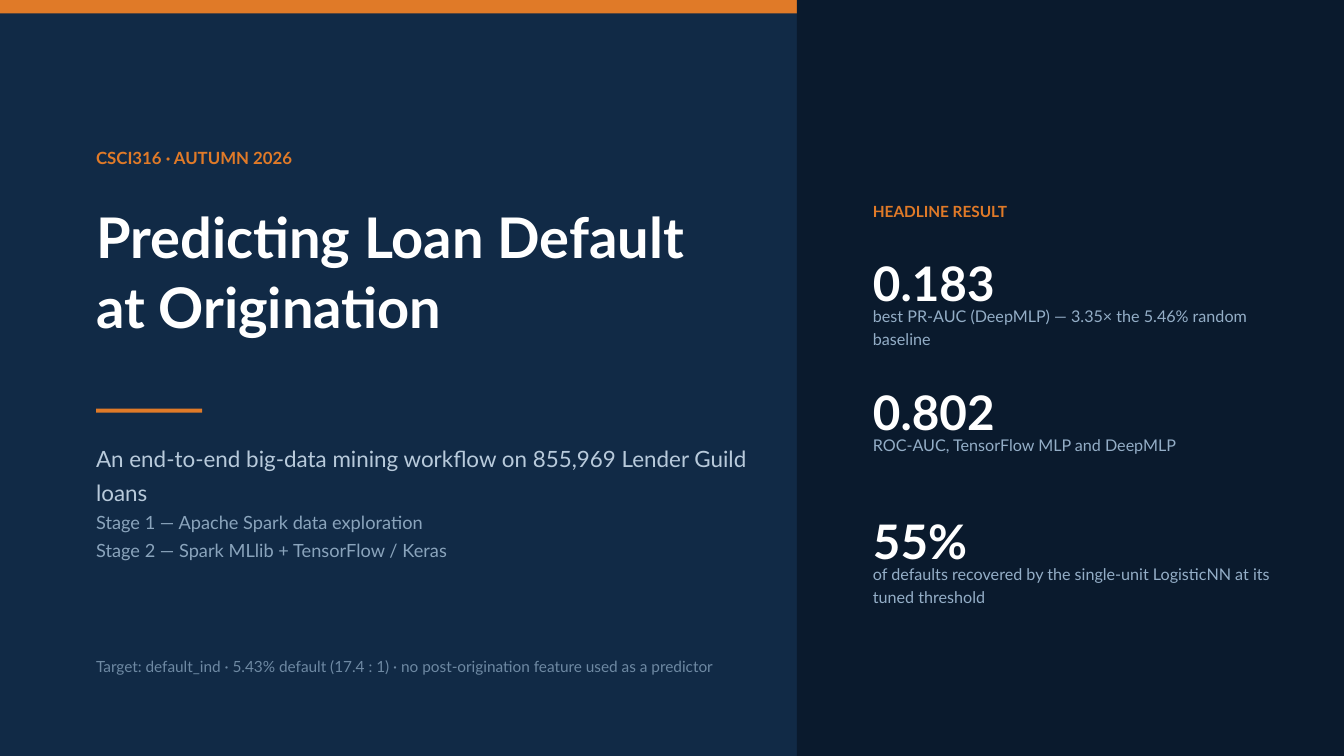
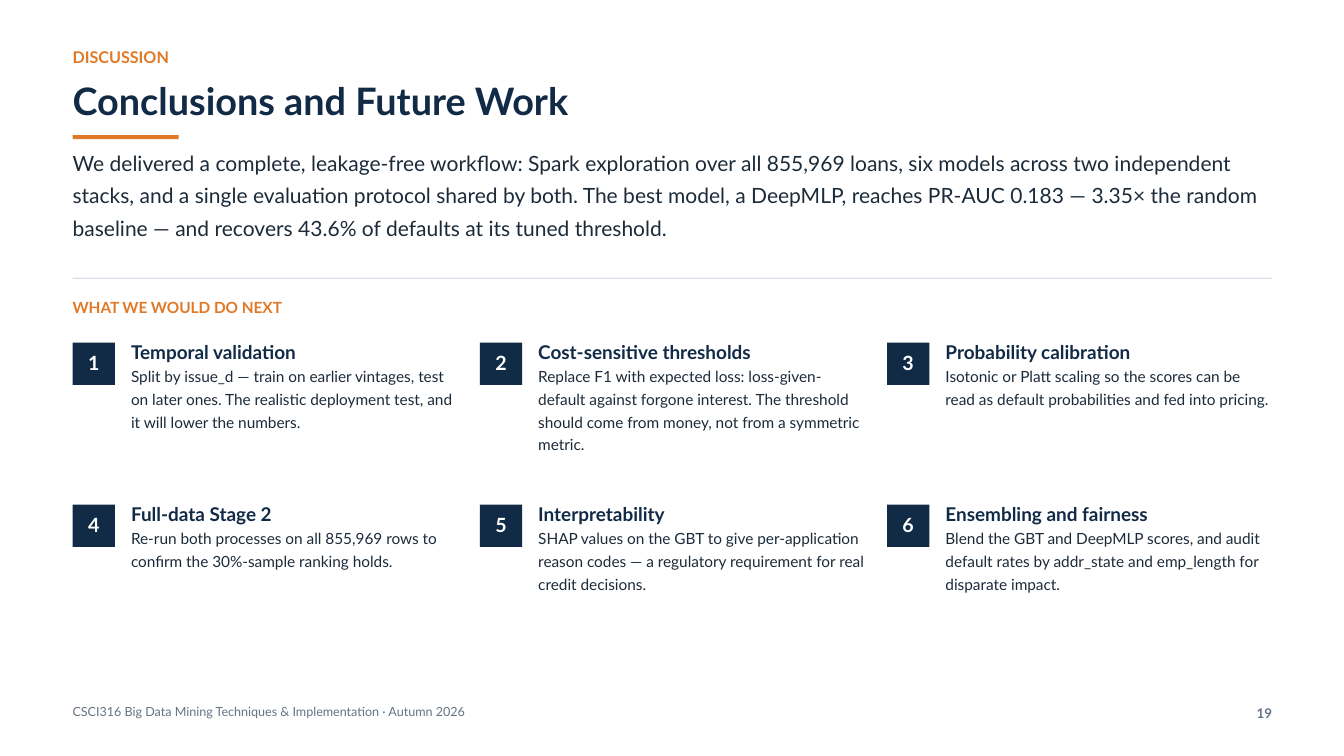
from pptx import Presentation
from pptx import util as u
from pptx.dml.color import RGBColor
from pptx.enum import shapes, text

FONT = "Lato"
COLORS = {
    "navy": "112A46", "panel": "0A1A2D", "orange": "E07A28", "white": "FFFFFF",
    "ink": "1C2B3A", "rule": "D8DFE6", "footer": "647484", "lead": "B8CADB",
    "stage": "8AA4BC", "caption": "94AEC7", "target": "6E89A3",
}
ALIGN = text.PP_ALIGN


def add_block(slide, at, color):
    """Add a plain filled rectangle; at is left, top, width, height in inches."""
    block = slide.shapes.add_shape(shapes.MSO_SHAPE.RECTANGLE, *map(u.Inches, at))
    block.fill.solid()
    block.fill.fore_color.rgb = RGBColor.from_string(COLORS[color])
    block.line.fill.background()
    block.shadow.inherit = False
    return block


def write(slide, words, at=None, box=None, size=16.5, color="ink", bold=False,
          align=ALIGN.LEFT, leading=24.2, anchor=text.MSO_ANCHOR.TOP, bottom=0):
    """Write one paragraph in a new box, or add it to the given box."""
    if box is None:
        box = slide.shapes.add_textbox(0, 0, 0, 0)
    if at:
        box.left, box.top, box.width, box.height = map(u.Inches, at)
    frame = box.text_frame
    frame.word_wrap = True
    frame.auto_size = text.MSO_AUTO_SIZE.NONE
    frame.vertical_anchor = anchor
    frame.margin_left = frame.margin_right = frame.margin_top = 0
    frame.margin_bottom = u.Inches(bottom)
    para = frame.add_paragraph() if frame.text else frame.paragraphs[0]
    para.alignment = align
    para.line_spacing = u.Pt(leading)
    para.space_before = para.space_after = u.Pt(0)
    span = para.add_run()
    span.text = words
    span.font.name = FONT
    span.font.size = u.Pt(size)
    span.font.bold = bold
    span.font.color.rgb = RGBColor.from_string(COLORS[color])
    return box


deck = Presentation()
deck.slide_width, deck.slide_height = u.Inches(20), u.Inches(11.25)
title_only = deck.slide_layouts[5]

# Cover: navy ground, top band and dark panel
cover = deck.slides.add_slide(title_only)
cover.background.fill.solid()
cover.background.fill.fore_color.rgb = RGBColor.from_string(COLORS["navy"])
add_block(cover, (0, 0, 20, 0.2), "orange")
add_block(cover, (11.86, 0, 8.14, 11.25), "panel")

# Cover: course, title and workflow
left = 1.43
write(cover, "CSCI316 · AUTUMN 2026", at=(left, 2.16, 9.91, 0.32),
      size=18, color="orange", bold=True)
cover_title = cover.shapes.title
cover_title.left, cover_title.top = u.Inches(left), u.Inches(2.98)
cover_title.width, cover_title.height = u.Inches(10.06), u.Inches(2.04)
for line in ("Predicting Loan Default", "at Origination"):
    write(cover, line, box=cover_title, size=60, color="white", bold=True, leading=74.9)
add_block(cover, (left, 6.08, 1.58, 0.06), "orange")
workflow = write(cover, "An end-to-end big-data mining workflow on 855,969 Lender Guild loans",
                 at=(left, 6.53, 9.76, 1.79), size=24, color="lead", leading=36)
for stage in ("Stage 1 — Apache Spark data exploration",
              "Stage 2 — Spark MLlib + TensorFlow / Keras"):
    write(cover, stage, box=workflow, size=19.5, color="stage", leading=29.3)
write(cover, "Target: default_ind · 5.43% default (17.4 : 1) · "
             "no post-origination feature used as a predictor",
      at=(left, 9.71, 9.91, 0.67), color="target", leading=24.8)

# Cover: headline results
panel_left = 12.99
write(cover, "HEADLINE RESULT", at=(panel_left, 2.97, 6.3, 0.3),
      color="orange", bold=True, leading=22.2)
results = [
    ("0.183", "best PR-AUC (DeepMLP) — 3.35× the 5.46% random baseline"),
    ("0.802", "ROC-AUC, TensorFlow MLP and DeepMLP"),
    ("55%", "of defaults recovered by the single-unit LogisticNN at its tuned threshold"),
]
for index, (figure, caption) in enumerate(results):
    top = 3.67 + 1.92 * index
    write(cover, figure, at=(panel_left, top, 2.1, 0.93),
          size=51, color="white", bold=True, leading=68.6)
    write(cover, caption, at=(panel_left, top + 0.83, 6.15, 0.66),
          size=17.3, color="caption", leading=24.9)

# Conclusions: section label, title and summary
closing = deck.slides.add_slide(title_only)
left, width = 1.08, 17.85
write(closing, "DISCUSSION", at=(left, 0.67, width, 0.3),
      size=17.3, color="orange", bold=True, leading=23.2)
write(closing, "Conclusions and Future Work", at=(left, 1.08, width, 0.73),
      box=closing.shapes.title, size=40.5, color="navy", bold=True, leading=54.5)
add_block(closing, (left, 2.01, 1.58, 0.06), "orange")
write(closing, "We delivered a complete, leakage-free workflow: Spark exploration over all "
               "855,969 loans, six models across two independent stacks, and a single "
               "evaluation protocol shared by both. The best model, a DeepMLP, reaches "
               "PR-AUC 0.183 — 3.35× the random baseline — and recovers 43.6% of defaults "
               "at its tuned threshold.",
      at=(left, 2.12, width, 1.41), size=22.5, leading=35.1)
add_block(closing, (left, 4.13, width, 0.02), "rule")
write(closing, "WHAT WE WOULD DO NEXT", at=(left, 4.4, width, 0.3),
      color="orange", bold=True, leading=22.2)

# Conclusions: numbered next steps in a grid of three columns
steps = [
    ("Temporal validation",
     "Split by issue_d — train on earlier vintages, test on later ones. "
     "The realistic deployment test, and it will lower the numbers."),
    ("Cost-sensitive thresholds",
     "Replace F1 with expected loss: loss-given-default against forgone interest. "
     "The threshold should come from money, not from a symmetric metric."),
    ("Probability calibration",
     "Isotonic or Platt scaling so the scores can be read as default probabilities "
     "and fed into pricing."),
    ("Full-data Stage 2",
     "Re-run both processes on all 855,969 rows to confirm the 30%-sample ranking holds."),
    ("Interpretability",
     "SHAP values on the GBT to give per-application reason codes — "
     "a regulatory requirement for real credit decisions."),
    ("Ensembling and fairness",
     "Blend the GBT and DeepMLP scores, and audit default rates by addr_state "
     "and emp_length for disparate impact."),
]
for index, (heading, detail) in enumerate(steps):
    row, column = divmod(index, 3)
    x, y = left + 6.06 * column, 5.1 + 2.41 * row
    badge = add_block(closing, (x, y, 0.63, 0.63), "navy")
    write(closing, str(index + 1), box=badge, size=21, color="white", bold=True,
          align=ALIGN.CENTER, leading=28.2, anchor=text.MSO_ANCHOR.MIDDLE, bottom=0.08)
    step = write(closing, heading, at=(x + 0.87, y - 0.07, 4.86, 1.7),
                 size=20.3, color="navy", bold=True, leading=27.2)
    write(closing, detail, box=step)

# Conclusions: footer
write(closing, "CSCI316 Big Data Mining Techniques & Implementation · Autumn 2026",
      at=(left, 10.45, 16.95, 0.25), size=13.5, color="footer", leading=18.1)
write(closing, "19", at=(18.03, 10.46, 0.9, 0.25), size=14.3, color="footer",
      bold=True, align=ALIGN.RIGHT, leading=19.2)

deck.save("out.pptx")
